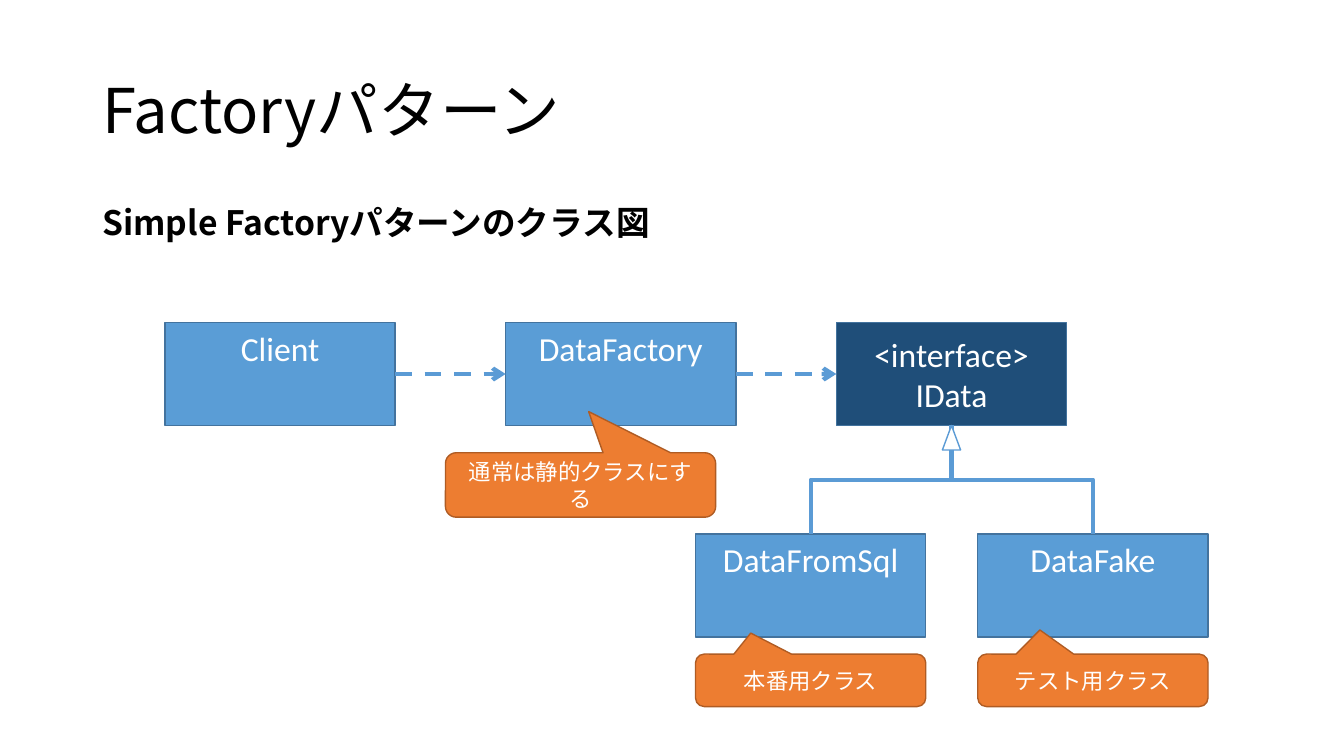
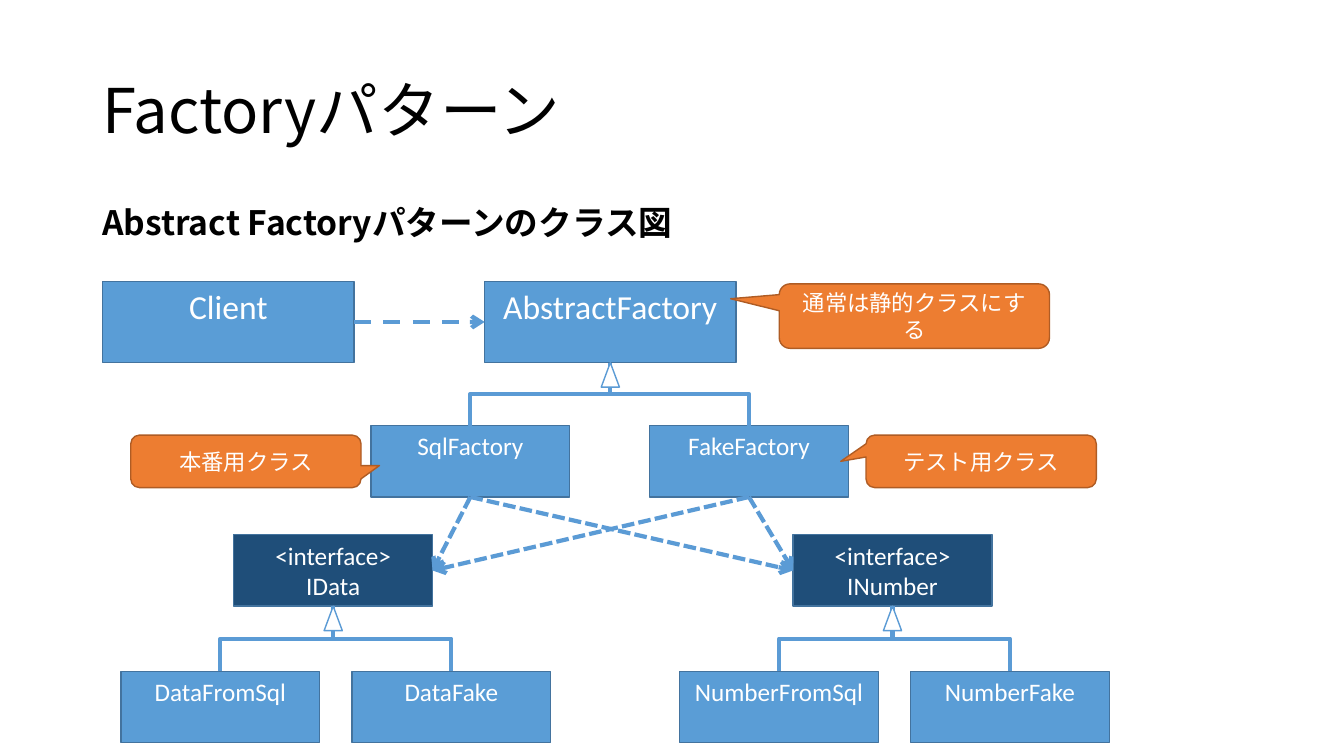
from dataclasses import dataclass, field
from typing import Any

from lxml.etree import SubElement
from pptx import Presentation
from pptx.dml.color import RGBColor
from pptx.enum.dml import MSO_LINE as DASH
from pptx.enum.shapes import MSO_CONNECTOR as CXN, MSO_SHAPE as SHAPE
from pptx.enum.text import MSO_ANCHOR as ANCHOR, PP_ALIGN as ALIGN
from pptx.oxml.ns import qn
from pptx.util import Pt

JP_FONT = "Noto Sans CJK JP"
BLACK, WHITE = "000000", "FFFFFF"
CLASS_FILL, INTERFACE_FILL, CLASS_LINE = "5A9DD6", "1F4E79", "43739E"
NOTE_FILL, NOTE_LINE = "ED7D31", "AF5C24"
LINK = "5B9BD5"
TOP, LEFT, BOTTOM, RIGHT = range(4)

TITLE = "Factoryパターン"
TITLE_FONT = {"name": JP_FONT, "size": Pt(44)}
SUBTITLE_FONT = {"name": JP_FONT, "size": Pt(24), "bold": True}
HEADING_PARA = {"line_spacing": 0.9}
CENTRED_PARA = {"alignment": ALIGN.CENTER}
STATIC_NOTE, LIVE_NOTE, TEST_NOTE = "通常は静的クラスにする", "本番用クラス", "テスト用クラス"


@dataclass
class Size:
    w: float
    h: float
    font: float


@dataclass
class Box:
    name: str
    x: float
    y: float
    size: Size
    interface: bool = False


@dataclass
class Note:
    text: str
    x: float
    y: float
    tip: tuple[float, float]
    size: Size


@dataclass
class Arrow:
    start: str
    start_side: int
    end: str
    end_side: int
    dash: Any = DASH.DASH


@dataclass
class Diagram:
    subtitle: str
    boxes: list[Box]
    children: dict[str, list[str]]
    arrows: list[Arrow]
    notes: list[Note] = field(default_factory=list)


def rgb(value: str) -> RGBColor:
    return RGBColor.from_string(value)


def apply(obj: Any, fmt: dict[str, Any]) -> None:
    for name, value in fmt.items():
        setattr(obj, name, value)


def write(sp: Any, text: str, color: str, font: dict, para: dict, anchor: Any) -> None:
    tf = sp.text_frame
    apply(tf, {"text": text, "word_wrap": True, "vertical_anchor": anchor})
    for p in tf.paragraphs:
        apply(p, para)
        for r in p.runs:
            apply(r.font, font)
            r.font.color.rgb = rgb(color)
            SubElement(r.font._element, qn("a:ea"), typeface=JP_FONT)


def draw_heading(s: Any, text: str, y: float, h: float, font: dict, anchor: Any) -> None:
    sp = s.shapes.add_textbox(Pt(66), Pt(y), Pt(828), Pt(h))
    write(sp, text, BLACK, font, HEADING_PARA, anchor)


def draw_shape(s: Any, kind: Any, x: float, y: float, w: float, h: float,
               fill: str, line: str) -> Any:
    sp = s.shapes.add_shape(kind, Pt(x), Pt(y), Pt(w), Pt(h))
    sp.shadow.inherit = False
    sp.fill.solid()
    sp.fill.fore_color.rgb = rgb(fill)
    sp.line.color.rgb = rgb(line)
    sp.line.width = Pt(1)
    return sp


def draw_box(s: Any, box: Box) -> Any:
    fill, anchor, text = CLASS_FILL, ANCHOR.TOP, box.name
    if box.interface:
        fill, anchor, text = INTERFACE_FILL, ANCHOR.MIDDLE, f"<interface>\n{box.name}"
    sp = draw_shape(s, SHAPE.RECTANGLE, box.x, box.y, box.size.w, box.size.h, fill, CLASS_LINE)
    font = {"name": "Calibri", "size": Pt(box.size.font)}
    write(sp, text, WHITE, font, CENTRED_PARA, anchor)
    return sp


def draw_note(s: Any, note: Note) -> None:
    sp = draw_shape(s, SHAPE.ROUNDED_RECTANGULAR_CALLOUT, note.x, note.y,
                    note.size.w, note.size.h, NOTE_FILL, NOTE_LINE)
    for i, value in enumerate(note.tip):
        sp.adjustments[i] = value
    font = {"name": "Calibri", "size": Pt(note.size.font)}
    write(sp, note.text, WHITE, font, CENTRED_PARA, ANCHOR.MIDDLE)


def link(s: Any, kind: Any, start: Any, start_side: int, end: Any, end_side: int) -> Any:
    c = s.shapes.add_connector(kind, 0, 0, 0, 0)
    c.begin_connect(start, start_side)
    c.end_connect(end, end_side)
    c.line.color.rgb = rgb(LINK)
    c.line.width = Pt(3)
    SubElement(c.element.spPr, qn("a:effectLst"))
    return c


def draw_arrow(s: Any, arrow: Arrow, shapes: dict[str, Any]) -> None:
    c = link(s, CXN.STRAIGHT, shapes[arrow.start], arrow.start_side,
             shapes[arrow.end], arrow.end_side)
    c.line.dash_style = arrow.dash
    SubElement(c.element.spPr.find(qn("a:ln")), qn("a:tailEnd"), type="arrow")


def draw_elbow(s: Any, child: Any, parent: Any) -> None:
    c = link(s, CXN.ELBOW, child, TOP, parent, BOTTOM)
    x1, y1, x2, y2 = c.begin_x, c.begin_y, c.end_x, c.end_y
    w, h = abs(y1 - y2), abs(x1 - x2)
    apply(c, {"left": (x1 + x2 - w) // 2, "top": (y1 + y2 - h) // 2, "width": w, "height": h})
    turn = {"rot": "16200000", "flipH": "0", "flipV": "1" if x1 > x2 else "0"}
    for name, value in turn.items():
        c.element.spPr.find(qn("a:xfrm")).set(name, value)


def draw_inheritance(s: Any, parent: Any, children: list[Any]) -> None:
    for child in children:
        draw_elbow(s, child, parent)
    w, h = 13, 17.5
    x = (parent.left + parent.width / 2) / Pt(1) - w / 2
    y = (parent.top + parent.height) / Pt(1)
    draw_shape(s, SHAPE.ISOSCELES_TRIANGLE, x, y, w, h, WHITE, LINK)


def draw_slide(prs: Any, diagram: Diagram) -> None:
    s = prs.slides.add_slide(prs.slide_layouts[6])
    draw_heading(s, TITLE, 28.8, 104.4, TITLE_FONT, ANCHOR.MIDDLE)
    draw_heading(s, diagram.subtitle, 144, 46, SUBTITLE_FONT, ANCHOR.TOP)
    shapes = {box.name: draw_box(s, box) for box in diagram.boxes}
    for parent, children in diagram.children.items():
        draw_inheritance(s, shapes[parent], [shapes[name] for name in children])
    for arrow in diagram.arrows:
        draw_arrow(s, arrow, shapes)
    for note in diagram.notes:
        draw_note(s, note)


LARGE, WIDE, SMALL = Size(164.5, 73.5, 24), Size(179.5, 58, 24), Size(142, 51, 18)
NOTE, TALL_NOTE = Size(164.5, 37.5, 16), Size(193, 46, 16)

SIMPLE = Diagram(
    "Simple Factoryパターンのクラス図",
    [
        Box("Client", 117.8, 230.4, LARGE),
        Box("DataFactory", 361.2, 230.4, LARGE),
        Box("IData", 597.4, 230.4, LARGE, True),
        Box("DataFromSql", 496.8, 381.4, LARGE),
        Box("DataFake", 698.4, 381.4, LARGE),
    ],
    {"IData": ["DataFromSql", "DataFake"]},
    [
        Arrow("Client", RIGHT, "DataFactory", LEFT),
        Arrow("DataFactory", RIGHT, "IData", LEFT),
    ],
    [
        Note(LIVE_NOTE, 496.8, 467.2, (-0.26, -0.9), NOTE),
        Note(TEST_NOTE, 698.4, 467.2, (-0.23, -0.96), NOTE),
        Note(STATIC_NOTE, 318.2, 323.4, (0.03, -1.14), TALL_NOTE),
    ],
)

ABSTRACT = Diagram(
    "Abstract Factoryパターンのクラス図",
    [
        Box("Client", 73.4, 201, WIDE),
        Box("AbstractFactory", 346.2, 201, WIDE),
        Box("SqlFactory", 265, 304, SMALL),
        Box("FakeFactory", 464, 304, SMALL),
        Box("IData", 167, 382, SMALL, True),
        Box("INumber", 566.5, 382, SMALL, True),
        Box("DataFromSql", 86.4, 479.5, SMALL),
        Box("DataFake", 251.4, 479.5, SMALL),
        Box("NumberFromSql", 485.4, 479.5, SMALL),
        Box("NumberFake", 650.4, 479.5, SMALL),
    ],
    {
        "AbstractFactory": ["SqlFactory", "FakeFactory"],
        "IData": ["DataFromSql", "DataFake"],
        "INumber": ["NumberFromSql", "NumberFake"],
    },
    [Arrow("Client", RIGHT, "AbstractFactory", LEFT)] + [
        Arrow(factory, BOTTOM, product, side, DASH.SQUARE_DOT)
        for factory in ("SqlFactory", "FakeFactory")
        for product, side in (("IData", RIGHT), ("INumber", LEFT))
    ],
    [
        Note(STATIC_NOTE, 556.6, 202.8, (-0.68, -0.27), TALL_NOTE),
        Note(LIVE_NOTE, 93.4, 310.8, (0.58, 0.08), NOTE),
        Note(TEST_NOTE, 618.6, 310.8, (-0.61, 0), NOTE),
    ],
)


def main() -> None:
    prs = Presentation()
    apply(prs, {"slide_width": Pt(960), "slide_height": Pt(540)})
    for diagram in (SIMPLE, ABSTRACT):
        draw_slide(prs, diagram)
    prs.save("out.pptx")


if __name__ == "__main__":
    main()
